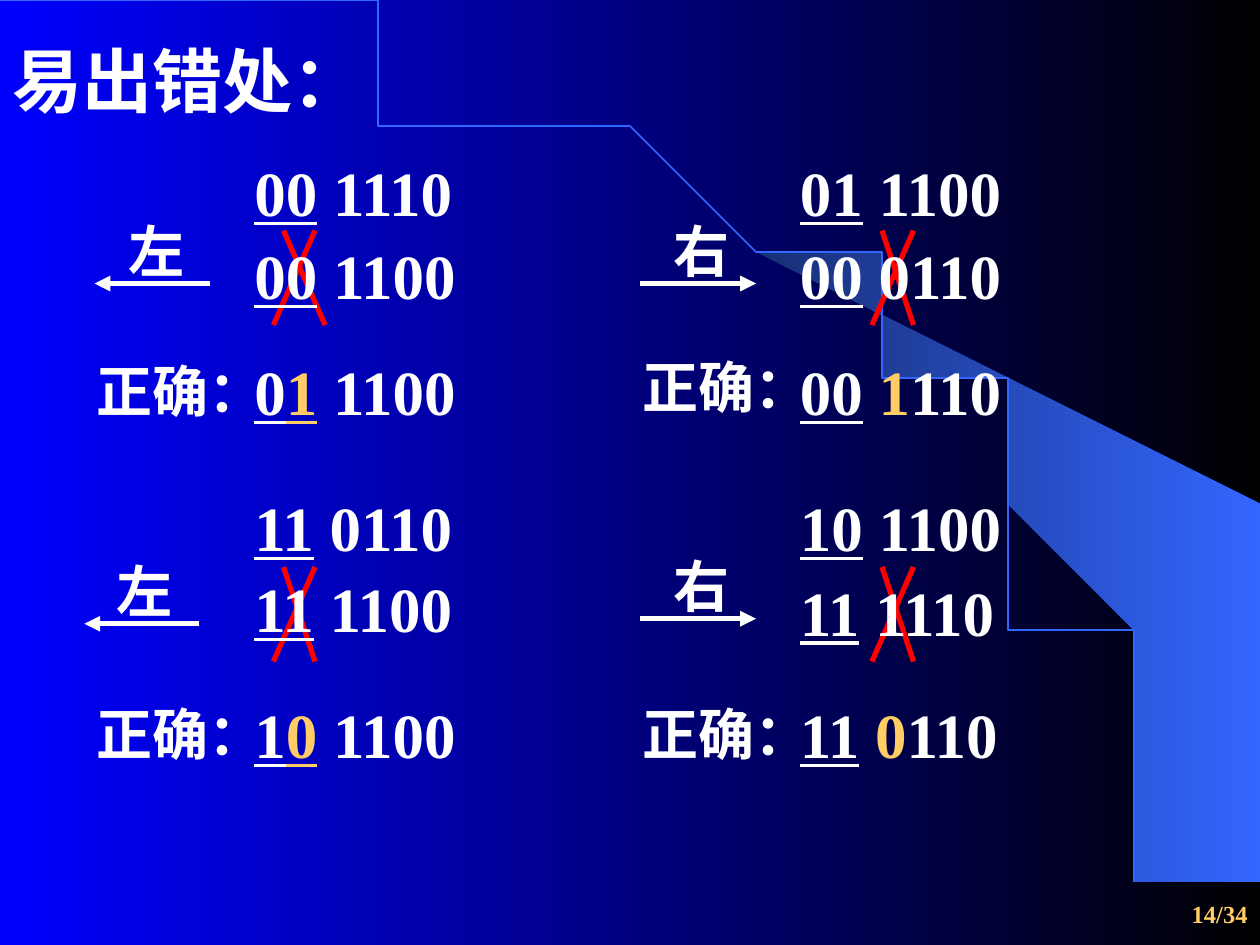
import math
from lxml import etree
from pptx import Presentation, util as u
from pptx.dml.color import RGBColor
from pptx.enum import shapes, text
from pptx.oxml.ns import qn

Inches = u.Inches
color = RGBColor.from_string
WHITE, GOLD, RED, BLUE = "FFFFFF", "FFCC66", "FF0000", "3366FF"

deck = Presentation()
deck.slide_width, deck.slide_height = Inches(10), Inches(7.5)
page = deck.slides.add_slide(deck.slide_layouts[6])


def add_text(left, top, width, height, size, spans):
    """Add a bold text box; each span is (text, colour, underlined)."""
    box = page.shapes.add_textbox(Inches(left), Inches(top), Inches(width), Inches(height))
    box.text_frame.word_wrap = True
    para = box.text_frame.paragraphs[0]
    para.font.size = u.Pt(size)
    para.font.bold = True
    para.font.name = "Times New Roman"
    for words, ink, underlined in spans:
        span = para.add_run()
        span.text = words
        span.font.color.rgb = color(ink)
        if underlined:
            span.font.underline = True
    return box


def add_line(x1, y1, x2, y2, ink, arrow=False):
    line = page.shapes.add_connector(
        shapes.MSO_CONNECTOR.STRAIGHT, Inches(x1), Inches(y1), Inches(x2), Inches(y2))
    line.line.color.rgb = color(ink)
    line.line.width = u.Pt(3)
    if arrow:
        etree.SubElement(line.line._get_or_add_ln(), qn("a:tailEnd"), type="triangle")
    etree.SubElement(line._element.spPr, qn("a:effectLst"))


# Background, blue to black
background = page.background.fill

# Blue wedge at the right, outside the arc
wedge_points = [
    (9.2, 7.48), (9.99, 7.49), (9.99, 4.23), (5.89, 1.73), (6.24, 1.99), (6.53, 2.22),
    (6.85, 2.5), (7.16, 2.8), (7.62, 3.3), (8.03, 3.84), (8.32, 4.31), (8.58, 4.79),
    (8.78, 5.28), (8.93, 5.72), (9.03, 6.09), (9.13, 6.56), (9.17, 6.96)]
builder = page.shapes.build_freeform(*wedge_points[0], scale=Inches(1))
builder.add_line_segments(wedge_points[1:], close=True)
wedge = builder.convert_to_shape()
wedge.shadow.inherit = False
wedge.line.fill.background()

for fill, start, end in [(background, "0000FF", "000000"), (wedge.fill, "182F76", BLUE)]:
    fill.gradient()
    fill.gradient_angle = 0
    for stop, ink, position in zip(fill.gradient_stops, (start, end), (0, 1)):
        stop.color.rgb = color(ink)
        stop.position = position

# Quarter ellipse from the top left to the bottom right
ARC_WIDTH, ARC_HEIGHT, STEPS = 9.2, 7.49, 90
angles = [math.pi / 2 * step / STEPS for step in range(STEPS + 1)]
arc_points = [(ARC_WIDTH * math.sin(a), ARC_HEIGHT * (1 - math.cos(a))) for a in angles]
builder = page.shapes.build_freeform(*arc_points[0], scale=Inches(1))
builder.add_line_segments(arc_points[1:], close=False)
arc = builder.convert_to_shape()
arc.shadow.inherit = False
arc.fill.background()
arc.line.color.rgb = color(BLUE)
arc.line.width = u.Pt(1)

# Page number and title
number = add_text(7.92, 7, 2.08, 0.5, 14, [("14/34", GOLD, False)])
number.text_frame.vertical_anchor = text.MSO_ANCHOR.MIDDLE
number.text_frame.paragraphs[0].alignment = text.PP_ALIGN.RIGHT
add_text(0, 0.25, 2.75, 0.77, 40, [("易出错处：", WHITE, False)])

# Red crosses: x of top left, top right, bottom left, bottom right, then the top
for top_left, top_right, bottom_left, bottom_right, top in [
        (2.25, 2.5, 2.17, 2.58, 1.83), (7, 7.25, 6.92, 7.25, 1.83),
        (2.25, 2.5, 2.17, 2.5, 4.5), (7, 7.25, 6.92, 7.25, 4.5)]:
    add_line(top_right, top, bottom_left, top + 0.75, RED)
    add_line(top_left, top, bottom_right, top + 0.75, RED)

# Shift arrows with their direction: label, label box, arrow start, arrow end
for label, left, top, width, start, end in [
        ("左", 0.92, 1.67, 0.75, 1.67, 0.75), ("右", 5.25, 1.67, 0.5, 5.08, 6),
        ("左", 0.83, 4.37, 0.75, 1.58, 0.67), ("右", 5.25, 4.33, 0.5, 5.08, 6)]:
    add_line(start, top + 0.58, end, top + 0.58, WHITE, arrow=True)
    add_text(left, top, width, 0.64, 32, [(label, WHITE, False)])

# Labels of the correct results
for left, top in [(0.67, 2.78), (5, 2.75), (0.67, 5.5), (5, 5.5)]:
    add_text(left, top, 1.58, 0.64, 32, [("正确：", WHITE, False)])

# Operands and wrong results: underlined sign bits, then the value
for left, top, sign, value in [
        (1.92, 1.17, "00", "1110"), (1.92, 1.83, "00", "1100"),
        (6.25, 1.17, "01", "1100"), (6.25, 1.83, "00", "0110"),
        (1.92, 3.83, "11", "0110"), (1.92, 4.47, "11", "1100"),
        (6.25, 3.83, "10", "1100"), (6.25, 4.5, "11", "1110")]:
    add_text(left, top, 2.5, 0.7, 36, [(sign, WHITE, True), (" " + value, WHITE, False)])

# Correct results with the decisive bit in gold
for left, top, spans in [
        (1.92, 2.75, [("0", WHITE, True), ("1", GOLD, True), (" 1100", WHITE, False)]),
        (6.25, 2.75, [("00", WHITE, True), (" ", WHITE, False), ("1", GOLD, False),
                      ("110", WHITE, False)]),
        (1.92, 5.47, [("1", WHITE, True), ("0", GOLD, True), (" 1100", WHITE, False)]),
        (6.25, 5.47, [("11", WHITE, True), (" ", WHITE, False), ("0", GOLD, False),
                      ("110", WHITE, False)])]:
    add_text(left, top, 2.5, 0.7, 36, spans)

deck.save("out.pptx")
